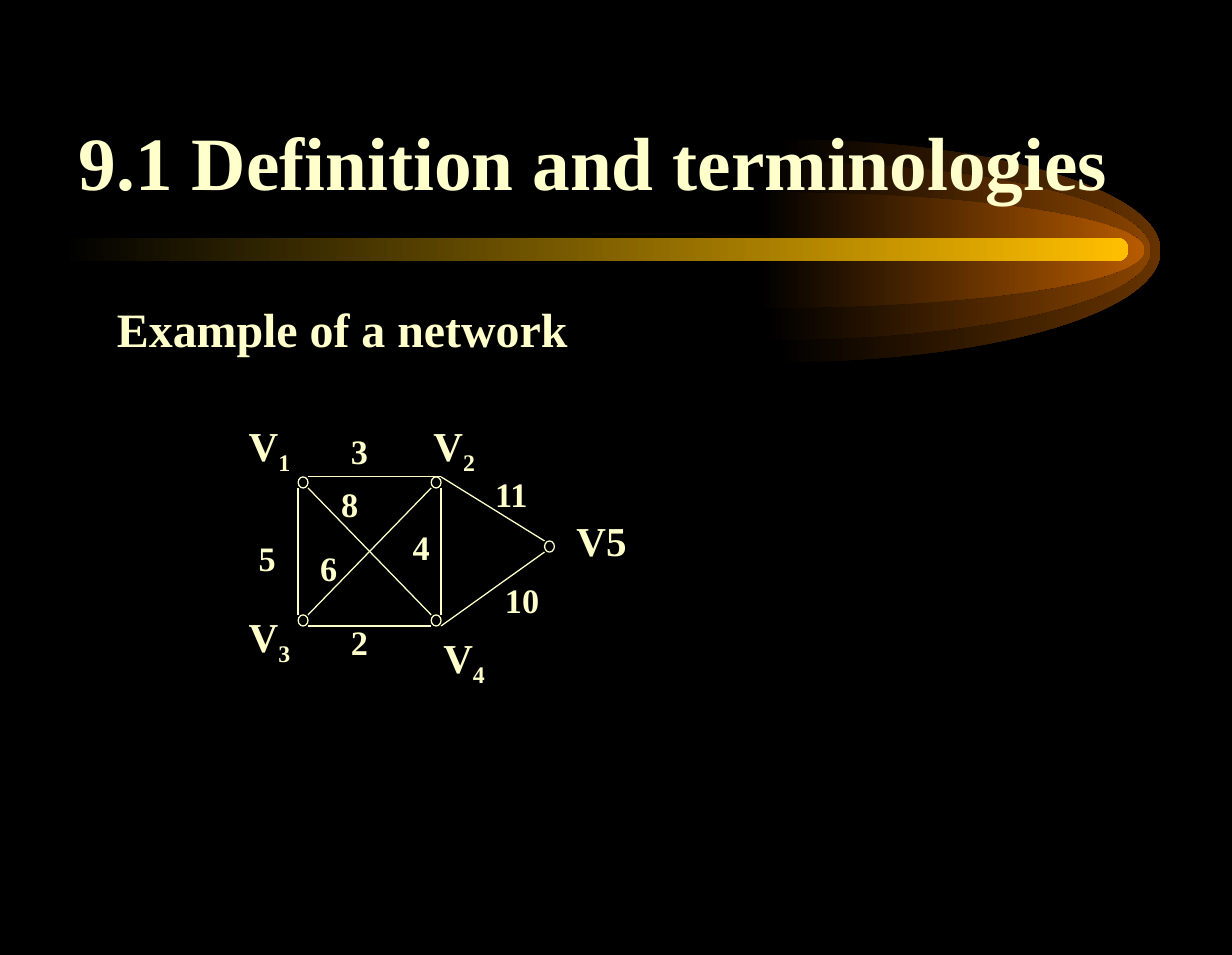
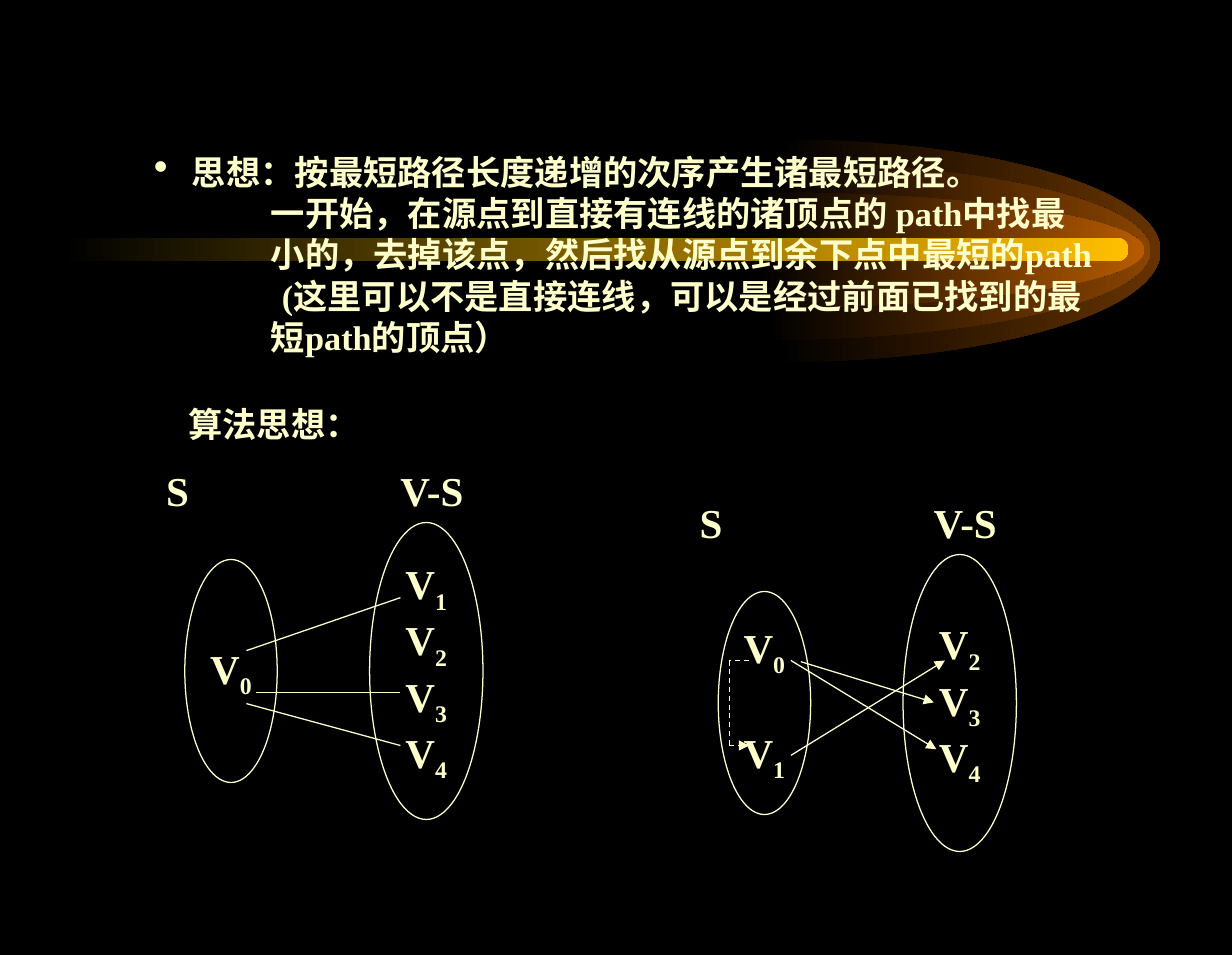
from lxml.etree import SubElement
from pptx import Presentation
from pptx.dml.color import RGBColor
from pptx.enum.dml import MSO_LINE
from pptx.enum.shapes import MSO_CONNECTOR, MSO_SHAPE
from pptx.enum.text import MSO_ANCHOR, PP_ALIGN
from pptx.oxml.ns import qn
from pptx.util import Inches, Pt

BLACK = RGBColor(0x00, 0x00, 0x00)
CREAM = RGBColor(0xFF, 0xFF, 0xCC)
GOLD = RGBColor(0xFF, 0xBF, 0x00)
FONT = "Times New Roman"

FLAMES = [
    (6.29, 1.13, 3.13, 1.81, RGBColor(0x66, 0x33, 0x00)),
    (6.21, 1.31, 3.13, 1.45, RGBColor(0x89, 0x44, 0x00)),
    (6.16, 1.56, 3.13, 0.94, RGBColor(0xB7, 0x5B, 0x00)),
]
FLAME_CURVES = [
    [(0.55, 0), (1, 0.22), (1, 0.5)],
    [(1, 0.78), (0.55, 1), (0, 1)],
]
BAR = (0.5, 1.93, 8.66, 0.19)

TITLE = "9.1 Definition and terminologies"
HEADING = "Example of a network"

NODE_SIZE = (0.08, 0.09)
NODES = {
    "V1": (2.42, 3.87),
    "V2": (3.5, 3.87),
    "V3": (2.42, 4.99),
    "V4": (3.5, 4.99),
    "V5": (4.42, 4.39),
}
CORNERS = {"NW": (0, 0), "NE": (1, 0), "SW": (0, 1), "SE": (1, 1)}
EDGES = [
    ("V1", "NE", "V2", "NE"),
    ("V1", "SW", "V3", "NW"),
    ("V2", "SE", "V4", "NE"),
    ("V3", "SE", "V4", "SW"),
    ("V1", "SE", "V4", "NW"),
    ("V2", "SW", "V3", "NE"),
    ("V2", "NE", "V5", "NW"),
    ("V5", "SW", "V4", "SE"),
]
NODE_LABELS = [
    ("V_1", 1.92, 3.36, 0.83, 0.56),
    ("V_3", 1.92, 4.91, 0.67, 0.56),
    ("V_2", 3.42, 3.36, 0.75, 0.56),
    ("V_4", 3.5, 5.08, 0.67, 0.56),
    ("V5", 4.58, 4.13, 0.75, 0.5),
]
WEIGHTS = [
    ("5", 2, 4.31, 0.42, 0.43),
    ("2", 2.75, 4.99, 0.58, 0.43),
    ("3", 2.75, 3.44, 0.5, 0.43),
    ("4", 3.25, 4.22, 0.58, 0.43),
    ("8", 2.67, 3.87, 0.42, 0.43),
    ("6", 2.5, 4.39, 0.42, 0.43),
    ("11", 3.92, 3.79, 0.5, 0.43),
    ("10", 4, 4.65, 0.58, 0.43),
]

IDEA = [
    ("思想：按最短路径长度递增的次序产生诸最短路径。", 0.31),
    ("一开始，在源点到直接有连线的诸顶点的 path中找最", 0.95),
    ("小的，去掉该点，然后找从源点到余下点中最短的path", 0.95),
    ("(这里可以不是直接连线，可以是经过前面已找到的最", 1.04),
    ("短path的顶点）", 0.95),
]
ALGORITHM = "算法思想："

SOLID, ARROW, DASH, DASH_ARROW = (False, False), (False, True), (True, False), (True, True)
STEPS = [
    {
        "offset": (0, 0),
        "found": ["V_0"],
        "rest": ["V_1", "V_2", "V_3", "V_4"],
        "links": [
            (2, 5.28, 3.25, 4.85, SOLID),
            (2.08, 5.62, 3.25, 5.62, SOLID),
            (2, 5.71, 3.25, 6.05, SOLID),
        ],
    },
    {
        "offset": (4.33, 0.26),
        "found": ["V_0", "V_1"],
        "rest": ["V_2", "V_3", "V_4"],
        "links": [
            (6.08, 5.36, 5.92, 5.36, DASH),
            (5.92, 5.36, 5.92, 6.05, DASH),
            (5.92, 6.05, 6.08, 6.05, DASH_ARROW),
            (6.42, 5.36, 7.6, 6.08, ARROW),
            (6.42, 6.13, 7.67, 5.36, ARROW),
            (6.5, 5.37, 7.58, 5.7, ARROW),
        ],
    },
]


def inches(*lengths):
    return [Inches(length) for length in lengths]


def write(para, text, size):
    letter, _, subscript = text.partition("_")
    for part, baseline in ((letter, None), (subscript, "-25000")):
        if not part:
            continue
        span = para.add_run()
        span.text = part
        span.font.name = FONT
        span.font.size = Pt(size)
        span.font.bold = True
        span.font.color.rgb = CREAM
        if baseline:
            span._r.get_or_add_rPr().set("baseline", baseline)


def add_text(shapes, place, text, size, wrap=True, align=PP_ALIGN.LEFT):
    box = shapes.add_textbox(*inches(*place))
    box.text_frame.word_wrap = wrap
    para = box.text_frame.paragraphs[0]
    para.alignment = align
    write(para, text, size)
    return box


def add_oval(shapes, place):
    oval = shapes.add_shape(MSO_SHAPE.OVAL, *inches(*place))
    oval.shadow.inherit = False
    oval.fill.background()
    oval.line.color.rgb = CREAM
    oval.line.width = Pt(0.75)
    return oval


def add_line(shapes, ends, style=SOLID):
    dashed, arrow = style
    line = shapes.add_connector(MSO_CONNECTOR.STRAIGHT, *inches(*ends))
    line.line.color.rgb = CREAM
    line.line.width = Pt(0.75)
    if dashed:
        line.line.dash_style = MSO_LINE.DASH
    if arrow:
        SubElement(line.line._get_or_add_ln(), qn("a:tailEnd"), type="triangle")
    SubElement(line._element.spPr, qn("a:effectLst"))


def fade_from_black(shape, color):
    shape.shadow.inherit = False
    shape.line.fill.background()
    shape.fill.gradient()
    shape.fill.gradient_angle = 0
    for stop, shade in zip(shape.fill.gradient_stops, (BLACK, color)):
        stop.color.rgb = shade


def add_flame(shapes, left, top, width, height):
    builder = shapes.build_freeform(*inches(left, top))
    tip, foot = inches(left + width, top + height / 2), inches(left, top + height)
    builder.add_line_segments([tip, foot], close=True)
    flame = builder.convert_to_shape()
    sides = list(flame._element.iter(qn("a:lnTo")))
    for side, curve in zip(sides, FLAME_CURVES):
        bend = side.makeelement(qn("a:cubicBezTo"))
        for across, down in curve:
            SubElement(bend, qn("a:pt"), x=str(Inches(across * width)), y=str(Inches(down * height)))
        side.getparent().replace(side, bend)
    return flame


def add_comet(shapes):
    for *place, color in FLAMES:
        fade_from_black(add_flame(shapes, *place), color)
    bar = shapes.add_shape(MSO_SHAPE.ROUNDED_RECTANGLE, *inches(*BAR))
    bar.adjustments[0] = 0.5
    fade_from_black(bar, GOLD)


def add_page(deck):
    page = deck.slides.add_slide(deck.slide_layouts[6])
    page.background.fill.solid()
    page.background.fill.fore_color.rgb = BLACK
    add_comet(page.shapes.add_group_shape().shapes)
    return page


def corner(node, name):
    return [start + size * side for start, size, side in zip(NODES[node], NODE_SIZE, CORNERS[name])]


def network_page(deck):
    page = add_page(deck)
    title = add_text(page.shapes, (0.39, 0.43, 8.86, 1.29), TITLE, 44, align=PP_ALIGN.CENTER)
    title.text_frame.vertical_anchor = MSO_ANCHOR.BOTTOM
    heading = add_text(page.shapes, (0.75, 2.33, 8.5, 4.65), HEADING, 28).text_frame
    heading.margin_left, heading.margin_top = inches(0.2, 0.1)

    network = page.shapes.add_group_shape().shapes
    for spot in NODES.values():
        add_oval(network, spot + NODE_SIZE)
    for start, start_corner, end, end_corner in EDGES:
        add_line(network, corner(start, start_corner) + corner(end, end_corner))
    for labels, size in ((NODE_LABELS, 24), (WEIGHTS, 20)):
        for text, *place in labels:
            add_text(network, place, text, size)


def add_set(shapes, place, members, gap):
    frame = add_oval(shapes, place).text_frame
    frame.word_wrap = False
    frame.vertical_anchor = MSO_ANCHOR.MIDDLE
    for index, member in enumerate(members):
        para = frame.add_paragraph() if index else frame.paragraphs[0]
        para.alignment = PP_ALIGN.CENTER
        if index:
            para.space_before = Pt(gap)
        write(para, member, 24)


def add_idea(shapes):
    frame = shapes.add_textbox(*inches(1.15, 1.12, 8.02, 1.84)).text_frame
    frame.word_wrap = True
    frame.margin_top = Inches(0.11)
    for index, (text, indent) in enumerate(IDEA):
        para = frame.add_paragraph() if index else frame.paragraphs[0]
        write(para, text, 20)
        properties = para._p.get_or_add_pPr()
        properties.set("marL", str(Inches(indent)))
        if index == 0:
            properties.set("indent", str(-Inches(indent)))
            SubElement(properties, qn("a:buSzPct"), val="120000")
            SubElement(properties, qn("a:buChar"), char="•")


def shortest_path_page(deck):
    page = add_page(deck)
    add_idea(page.shapes)
    for step in STEPS:
        across, down = step["offset"]
        diagram = page.shapes.add_group_shape().shapes
        add_set(diagram, (1.5 + across, 4.54 + down, 0.75, 1.81), step["found"], 28.5)
        add_text(diagram, (1.25 + across, 3.73 + down, 0.38, 0.5), "S", 24, wrap=False)
        add_set(diagram, (3 + across, 4.24 + down, 0.92, 2.41), step["rest"], 0)
        add_text(diagram, (3.14 + across, 3.73 + down, 0.73, 0.5), "V-S", 24, False, PP_ALIGN.CENTER)
        for *ends, style in step["links"]:
            add_line(diagram, ends, style)
    add_text(page.shapes, (1.43, 3.22, 1.59, 0.44), ALGORITHM, 20, wrap=False)


def main():
    deck = Presentation()
    deck.slide_width, deck.slide_height = inches(10, 7.75)
    network_page(deck)
    shortest_path_page(deck)
    deck.save("out.pptx")


if __name__ == "__main__":
    main()
